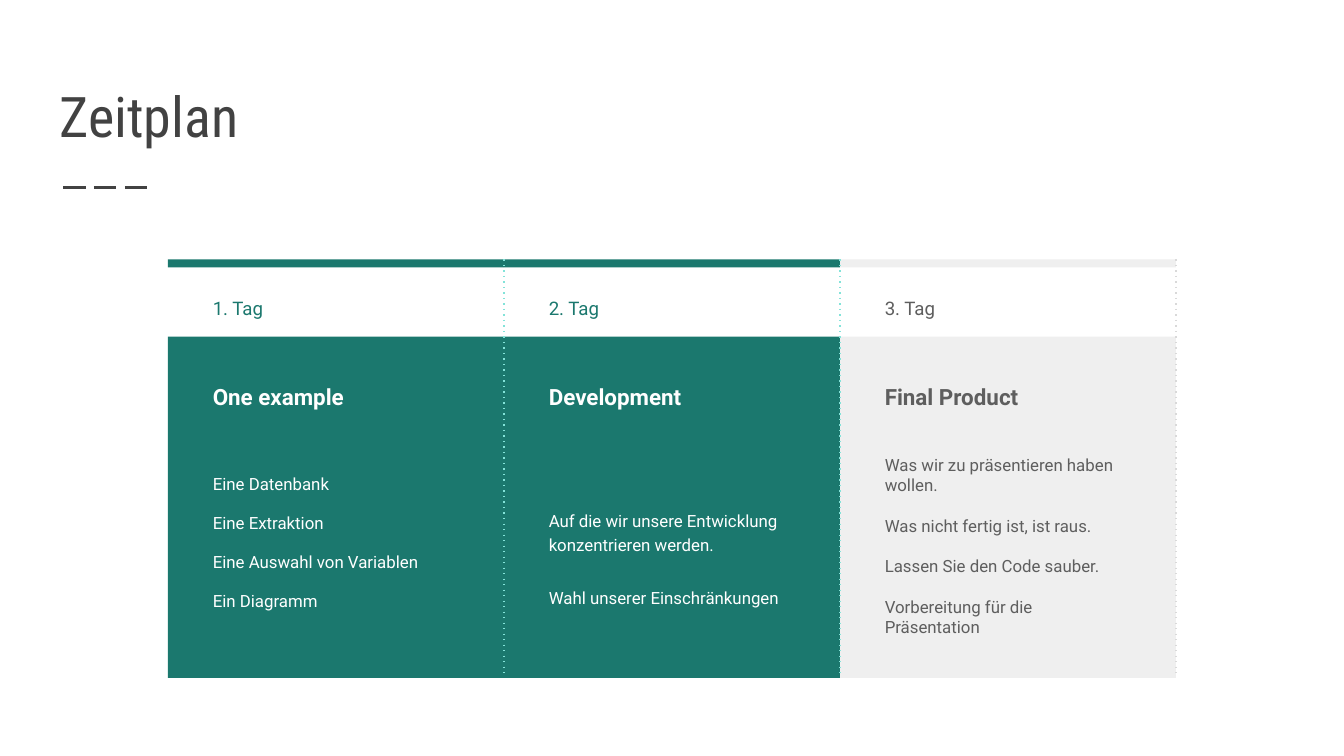
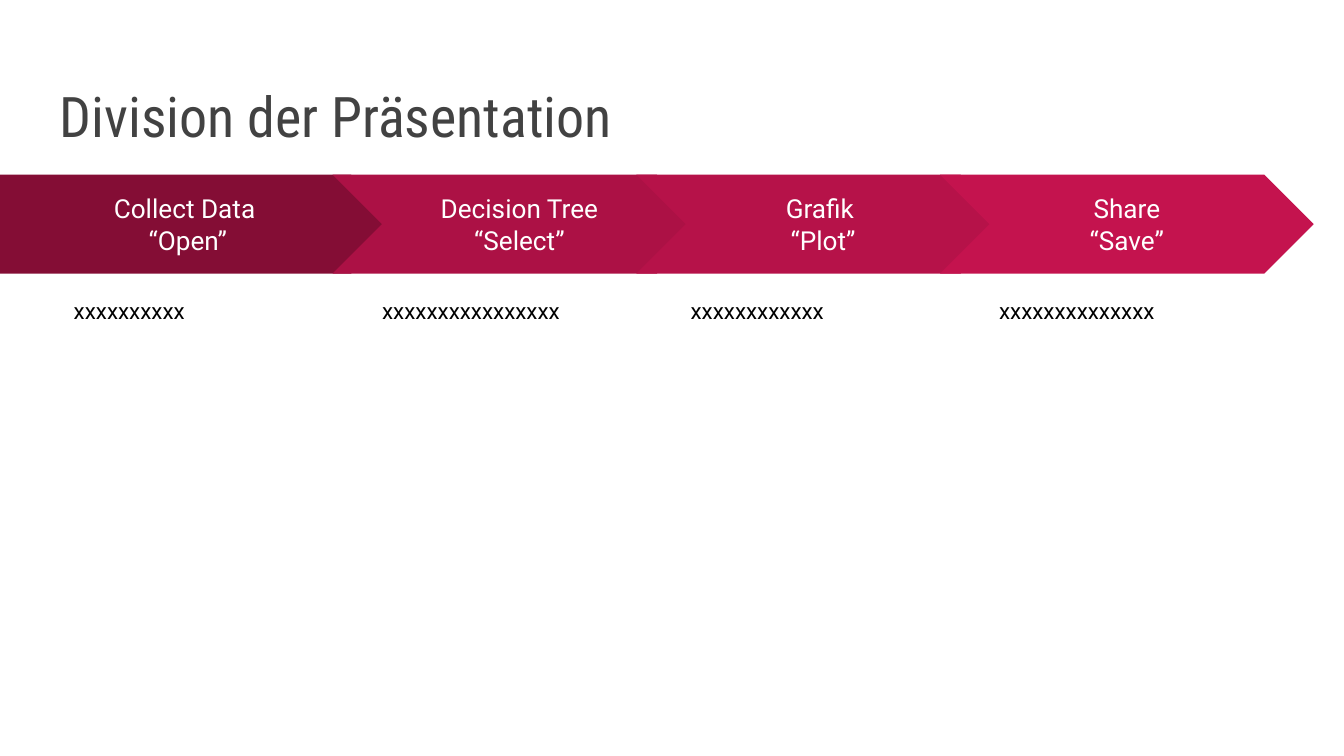
from dataclasses import dataclass
from lxml.etree import SubElement
from pptx import Presentation
from pptx.dml.color import RGBColor
from pptx.enum.shapes import MSO_CONNECTOR, MSO_SHAPE
from pptx.enum.text import MSO_ANCHOR, PP_ALIGN
from pptx.oxml.ns import qn
from pptx.util import Pt


@dataclass(frozen=True)
class Theme:
    dark: str = "424242"
    gray: str = "5E5E5E"
    pale: str = "EFEFEF"
    rule: str = "D9D9D9"
    teal: str = "1B786E"
    mint: str = "83E3D9"
    white: str = "FFFFFF"
    black: str = "000000"
    reds: tuple = ("840D35", "AC1145", "B61249", "C4134E")
    font: str = "Roboto"
    narrow: str = "Roboto Condensed"
    title: int = 30
    step: int = 14
    head: int = 12
    day: int = 10
    body: int = 9


theme = Theme()
px = 4572


def write(slide, text, box=None, shape=None, size=theme.body, color=theme.black,
          font=theme.font, bold=False, align=PP_ALIGN.LEFT,
          anchor=MSO_ANCHOR.TOP, lead=None, gap=0, after=0):
    if shape is None:
        shape = slide.shapes.add_textbox(*(n * px for n in box))
    frame = shape.text_frame
    frame.word_wrap = True
    frame.vertical_anchor = anchor
    frame.margin_left = frame.margin_right = 20 * px
    frame.margin_top = frame.margin_bottom = 20 * px
    frame.text = text
    for para in frame.paragraphs:
        para.alignment = align
        para.space_before, para.space_after = Pt(gap), Pt(after)
        if lead:
            para.line_spacing = lead
        for run in para.runs:
            run.font.name = font
            run.font.size = Pt(size)
            run.font.bold = bold
            run.font.color.rgb = RGBColor.from_string(color)


def draw(slide, kind, box, color, dash=None, width=0.75):
    x, y, w, h = (n * px for n in box)
    if dash:
        line = slide.shapes.add_connector(MSO_CONNECTOR.STRAIGHT, x, y, x + w, y + h)
        line.line.color.rgb = RGBColor.from_string(color)
        line.line.width = Pt(width)
        SubElement(line.line._get_or_add_ln(), qn("a:prstDash"), val=dash)
        SubElement(line._element.spPr, qn("a:effectLst"))
        return line
    shape = slide.shapes.add_shape(kind, x, y, w, h)
    shape.shadow.inherit = False
    shape.fill.solid()
    shape.fill.fore_color.rgb = RGBColor.from_string(color)
    shape.line.fill.background()
    return shape


deck = Presentation()
deck.slide_width, deck.slide_height = 2000 * px, 1125 * px
slides = []
for title in ("Zeitplan", "Division der Präsentation"):
    slide = deck.slides.add_slide(deck.slide_layouts[6])
    write(slide, title, box=(69, 82, 1864, 160), size=theme.title, color=theme.dark,
          font=theme.narrow, anchor=MSO_ANCHOR.BOTTOM)
    slides.append(slide)
plan, parts = slides

draw(plan, None, (94, 279, 134, 0), theme.dark, dash="lgDash", width=1.5)

green = (theme.teal, theme.teal, theme.white, theme.mint)
light = (theme.pale, theme.gray, theme.gray, theme.rule)
days = [
    ("One example",
     ("Eine Datenbank", "Eine Extraktion", "Eine Auswahl von Variablen", "Ein Diagramm"),
     685, 218, green, {"gap": 10}),
    ("Development",
     ("Auf die wir unsere Entwicklung konzentrieren werden.",
      "Wahl unserer Einschränkungen"),
     736, 218, green, {"gap": 16, "lead": 1.15}),
    ("Final Product",
     ("Was wir zu präsentieren haben wollen.", "Was nicht fertig ist, ist raus.",
      "Lassen Sie den Code sauber.", "Vorbereitung für die Präsentation"),
     657, 296, light, {"gap": 10.8}),
]
pitch = 500
for i, (head, items, top, tall, look, space) in reversed(list(enumerate(days))):
    fill, accent, ink, dots = look
    left = 250 + i * pitch
    inner = left + 47
    draw(plan, MSO_SHAPE.RECTANGLE, (left, 501, pitch, 508), fill)
    draw(plan, MSO_SHAPE.RECTANGLE, (left, 386, pitch, 12), fill)
    write(plan, f"{i + 1}. Tag", box=(inner, 418, 190, 56), size=theme.day,
          color=accent, lead=1.15, after=16)
    write(plan, head, box=(inner, 550, 406, 174), size=theme.head, color=ink, bold=True)
    write(plan, "\n".join(items), box=(inner, top, 406, tall), color=ink, **space)
    draw(plan, None, (left + pitch, 386, 0, 620), dots, dash="dot")

steps = [
    ("Collect Data \n“Open”", "xxxxxxxxxx"),
    ("Decision Tree “Select”", "xxxxxxxxxxxxxxxx"),
    ("Grafik \n“Plot”", "xxxxxxxxxxxx"),
    ("Share\n“Save”", "xxxxxxxxxxxxxx"),
]
for i, ((label, note), color) in enumerate(zip(steps, theme.reds)):
    if i:
        kind, left, width = MSO_SHAPE.CHEVRON, 43 + i * 452, 556
    else:
        kind, left, width = MSO_SHAPE.PENTAGON, 0, 596
    arrow = draw(parts, kind, (left, 260, width, 147), color)
    arrow.adjustments[0] = 0.5
    write(parts, label, shape=arrow, size=theme.step, color=theme.white,
          align=PP_ALIGN.CENTER, anchor=MSO_ANCHOR.MIDDLE)
    write(parts, note, box=(90 + i * 459, 416, 416, 572), size=theme.head, lead=1.15)

deck.save("out.pptx")
